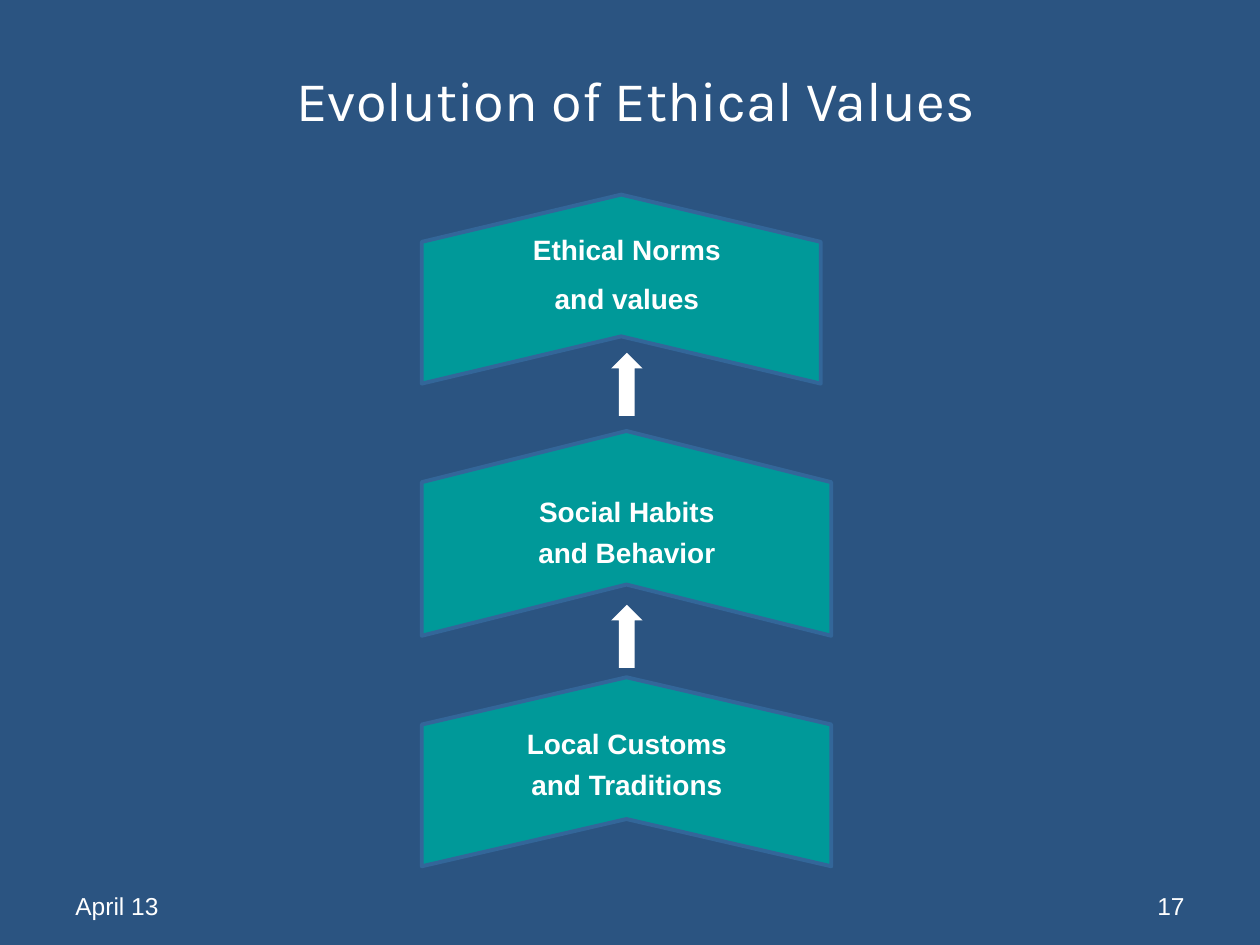
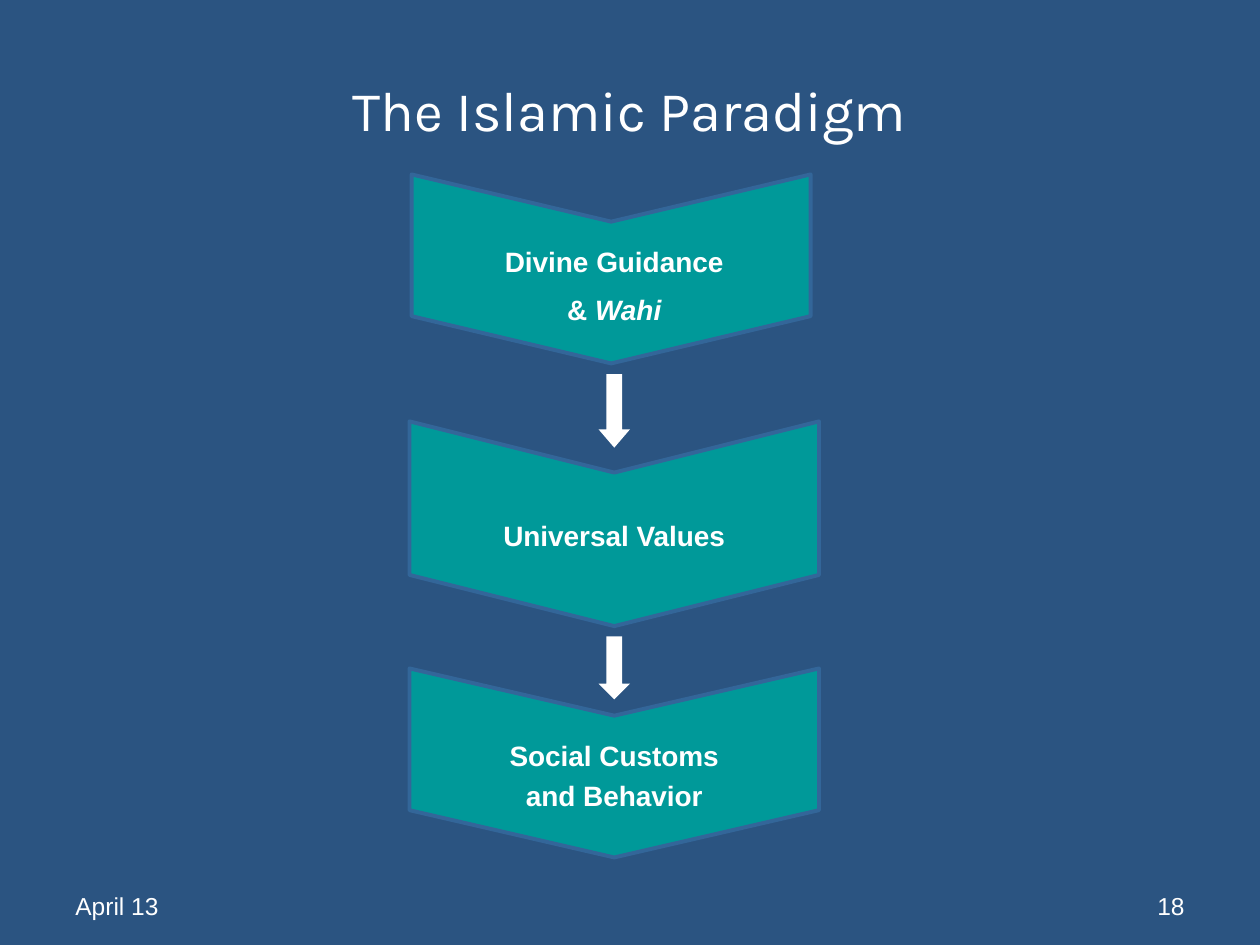
from pptx import Presentation
from pptx.dml.color import RGBColor
from pptx.enum.shapes import MSO_SHAPE
from pptx.enum.text import MSO_ANCHOR, PP_ALIGN
from pptx.util import Pt

NAVY, TEAL, EDGE, WHITE = "2B5481", "009999", "336699", "FFFFFF"
UP, DOWN = 270, 90


def colour(hex_code):
    return RGBColor.from_string(hex_code)


class StepDeck:
    """Holds the deck style and the current slide."""

    def __init__(self):
        self.deck = Presentation()
        self.deck.slide_width, self.deck.slide_height = Pt(720), Pt(540)
        fill = self.deck.slide_master.background.fill
        fill.solid()
        fill.fore_color.rgb = colour(NAVY)
        self.page = None

    def add_page(self, title, title_left, title_top, number):
        self.page = self.deck.slides.add_slide(self.deck.slide_layouts[6])
        self.footer("April 13", 36, PP_ALIGN.LEFT)
        self.footer(str(number), 516, PP_ALIGN.RIGHT)
        self.text([title], title_left, title_top, 648, 48, 32, font="Karla")

    def text(self, lines, left, top, width, height, size, font="Arial",
             bold=False, align=PP_ALIGN.CENTER, anchor=MSO_ANCHOR.TOP, gap=0):
        box = self.page.shapes.add_textbox(Pt(left), Pt(top), Pt(width), Pt(height))
        frame = box.text_frame
        frame.word_wrap = True
        frame.vertical_anchor = anchor
        for index, line in enumerate(lines):
            para = frame.add_paragraph() if index else frame.paragraphs[0]
            para.text = line
            para.alignment = align
            para.space_before = Pt(gap if index else 0)
            para.font.name = font
            para.font.size = Pt(size)
            para.font.bold = bold
            para.font.color.rgb = colour(WHITE)
        return frame

    def footer(self, words, left, align):
        self.text([words], left, 492, 168, 37.5, 14, align=align,
                  anchor=MSO_ANCHOR.BOTTOM)

    def label(self, lines, left, top, gap=4):
        height = 26 if len(lines) == 1 else 45 + gap
        return self.text(lines, left, top, 162, height, 16, bold=True, gap=gap)

    def shape(self, kind, middle_x, middle_y, width, height, rotation, fill):
        shape = self.page.shapes.add_shape(
            kind, Pt(middle_x - width / 2), Pt(middle_y - height / 2),
            Pt(width), Pt(height))
        shape.rotation = rotation
        shape.shadow.inherit = False
        shape.fill.solid()
        shape.fill.fore_color.rgb = colour(fill)
        shape.line.fill.background()
        return shape

    def chevron(self, middle_x, middle_y, across, depth, direction):
        chevron = self.shape(MSO_SHAPE.CHEVRON, middle_x, middle_y, depth, across,
                             direction, TEAL)
        chevron.adjustments[0] = 0.25
        chevron.line.color.rgb = colour(EDGE)
        chevron.line.width = Pt(2.25)

    def chevrons(self, middle_x, top_x, middles_y, direction):
        top_y, centre_y, bottom_y = middles_y
        self.chevron(middle_x, bottom_y, 234, 108, direction)
        self.chevron(middle_x, centre_y, 234, 117, direction)
        self.chevron(top_x, top_y, 228, 108, direction)

    def arrow(self, middle_x, top, height, direction):
        arrow = self.shape(MSO_SHAPE.UP_ARROW, middle_x, top + height / 2, 18, height,
                           0 if direction == UP else 180, WHITE)
        arrow.adjustments[1] = height / 4 / 18


def evolution_page(steps):
    steps.add_page("Evolution of Ethical Values", 39.5, 34, 17)
    steps.chevrons(358, 355, (165.2, 304.8, 441), UP)
    steps.label(["Ethical Norms", "and values"], 277.2, 129.6, gap=8.5)
    steps.label(["Social Habits", "and Behavior"], 277.2, 279)
    steps.label(["Local Customs", "and Traditions"], 277.2, 411.8)
    for top in (201.6, 345.6):
        steps.arrow(358.2, top, 36, UP)


def paradigm_page(steps):
    steps.add_page("The Islamic Paradigm", 36, 39.5, 18)
    steps.chevrons(351, 349.2, (153.7, 299.3, 436), DOWN)
    frame = steps.label(["Divine Guidance", "& "], 270, 136, gap=8.5)
    span = frame.paragraphs[1].add_run()
    span.text = "Wahi"
    span.font.italic = True
    steps.label(["Universal Values"], 270, 293)
    steps.label(["Social Customs", "and Behavior"], 270, 418.3)
    steps.arrow(351, 213.8, 42, DOWN)
    steps.arrow(351, 363.6, 36, DOWN)


def main():
    steps = StepDeck()
    evolution_page(steps)
    paradigm_page(steps)
    steps.deck.save("out.pptx")


if __name__ == "__main__":
    main()
